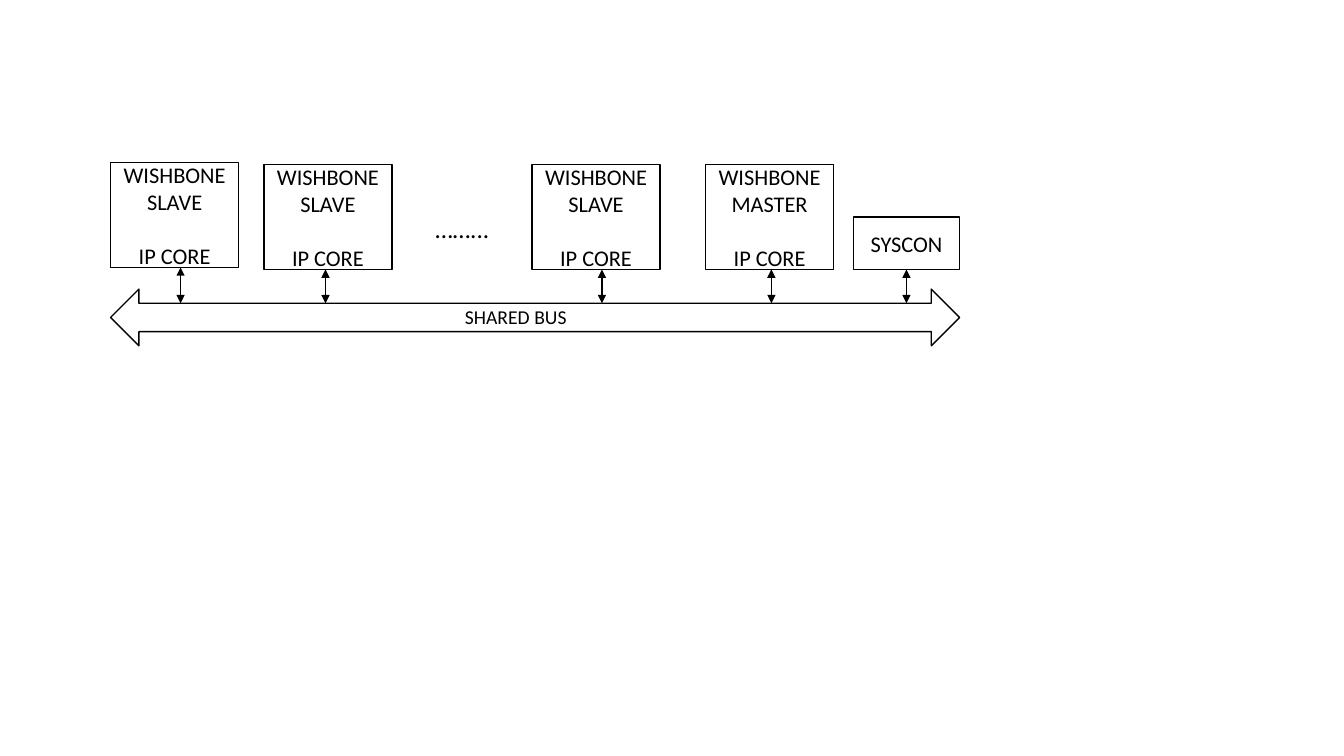
from dataclasses import dataclass

from lxml import etree
from pptx import Presentation
from pptx.dml.color import RGBColor
from pptx.enum.shapes import MSO_CONNECTOR, MSO_SHAPE
from pptx.enum.text import MSO_ANCHOR, PP_ALIGN
from pptx.oxml.ns import qn
from pptx.util import Pt

RECTANGLE = MSO_SHAPE.RECTANGLE
DOUBLE_ARROW = MSO_SHAPE.LEFT_RIGHT_ARROW
STRAIGHT = MSO_CONNECTOR.STRAIGHT
CENTER, LEFT = PP_ALIGN.CENTER, PP_ALIGN.LEFT
MIDDLE, TOP = MSO_ANCHOR.MIDDLE, MSO_ANCHOR.TOP


@dataclass(frozen=True)
class Theme:
    ink: RGBColor = RGBColor(0, 0, 0)
    paper: RGBColor = RGBColor(255, 255, 255)
    font: str = "Calibri"
    core_size: int = 16
    dots_size: int = 18
    bus_size: int = 14
    line_width: int = 1
    core_gap: float = 19.5


THEME = Theme()

# Cores: left, top, label, offset of the link from the core's left edge
CORE_WIDTH, CORE_HEIGHT = 91.5, 75
CORES = [
    (79, 116, "WISHBONE SLAVE", 50),
    (188.5, 117.5, "WISHBONE SLAVE", 44),
    (380, 117.5, "WISHBONE SLAVE", 50),
    (504, 117.5, "WISHBONE MASTER", 47),
]


def write(shape, lines, size, align=CENTER, anchor=MIDDLE):
    frame = shape.text_frame
    frame.word_wrap = True
    frame.vertical_anchor = anchor
    for index, line in enumerate(lines):
        para = frame.add_paragraph() if index else frame.paragraphs[0]
        para.alignment = align
        if index:
            para.space_before = Pt(THEME.core_gap)
        span = para.add_run()
        span.text = line
        span.font.name = THEME.font
        span.font.size = Pt(size)
        span.font.color.rgb = THEME.ink


def add_outline(page, kind, box):
    shape = page.shapes.add_shape(kind, *map(Pt, box))
    shape.shadow.inherit = False
    shape.fill.solid()
    shape.fill.fore_color.rgb = THEME.paper
    shape.line.color.rgb = THEME.ink
    shape.line.width = Pt(THEME.line_width)
    return shape


def add_label(page, box, text, size, align):
    label = page.shapes.add_textbox(*map(Pt, box))
    write(label, [text], size, align, TOP)


def add_link(page, x, top, bottom):
    link = page.shapes.add_connector(STRAIGHT, Pt(x), Pt(bottom), Pt(x), Pt(top))
    link.line.color.rgb = THEME.ink
    link.line.width = Pt(THEME.line_width)
    outline = link.line._get_or_add_ln()
    for end in ("a:headEnd", "a:tailEnd"):
        etree.SubElement(outline, qn(end), type="triangle")
    etree.SubElement(link._element.spPr, qn("a:effectLst"))


def add_block(page, box, lines, link_offset, bus_edge):
    """A core with its link down to the bus."""
    left, top, width, height = box
    write(add_outline(page, RECTANGLE, box), lines, THEME.core_size)
    add_link(page, left + link_offset, top + height, bus_edge)


def add_bus(page, box):
    left, top, width, height = box
    add_outline(page, DOUBLE_ARROW, box)
    label_box = (left + 246, top + 8, 115, 24.5)
    add_label(page, label_box, "SHARED BUS", THEME.bus_size, LEFT)


def add_diagram(page):
    bus = (79, 206.5, 606.5, 40.5)
    bus_edge = bus[1] + bus[3] / 4
    add_bus(page, bus)

    # Slave and master cores
    for left, top, label, offset in CORES:
        box = (left, top, CORE_WIDTH, CORE_HEIGHT)
        add_block(page, box, [label, "IP CORE"], offset, bus_edge)

    # Further slaves and system controller
    add_label(page, (296.5, 149, 67.5, 29), "……...", THEME.dots_size, CENTER)
    add_block(page, (609.5, 155, 76, 37.5), ["SYSCON"], 38, bus_edge)


def main():
    deck = Presentation()
    deck.slide_width, deck.slide_height = Pt(960), Pt(540)
    page = deck.slides.add_slide(deck.slide_layouts.get_by_name("Blank"))
    add_diagram(page)
    deck.save("out.pptx")


if __name__ == "__main__":
    main()
